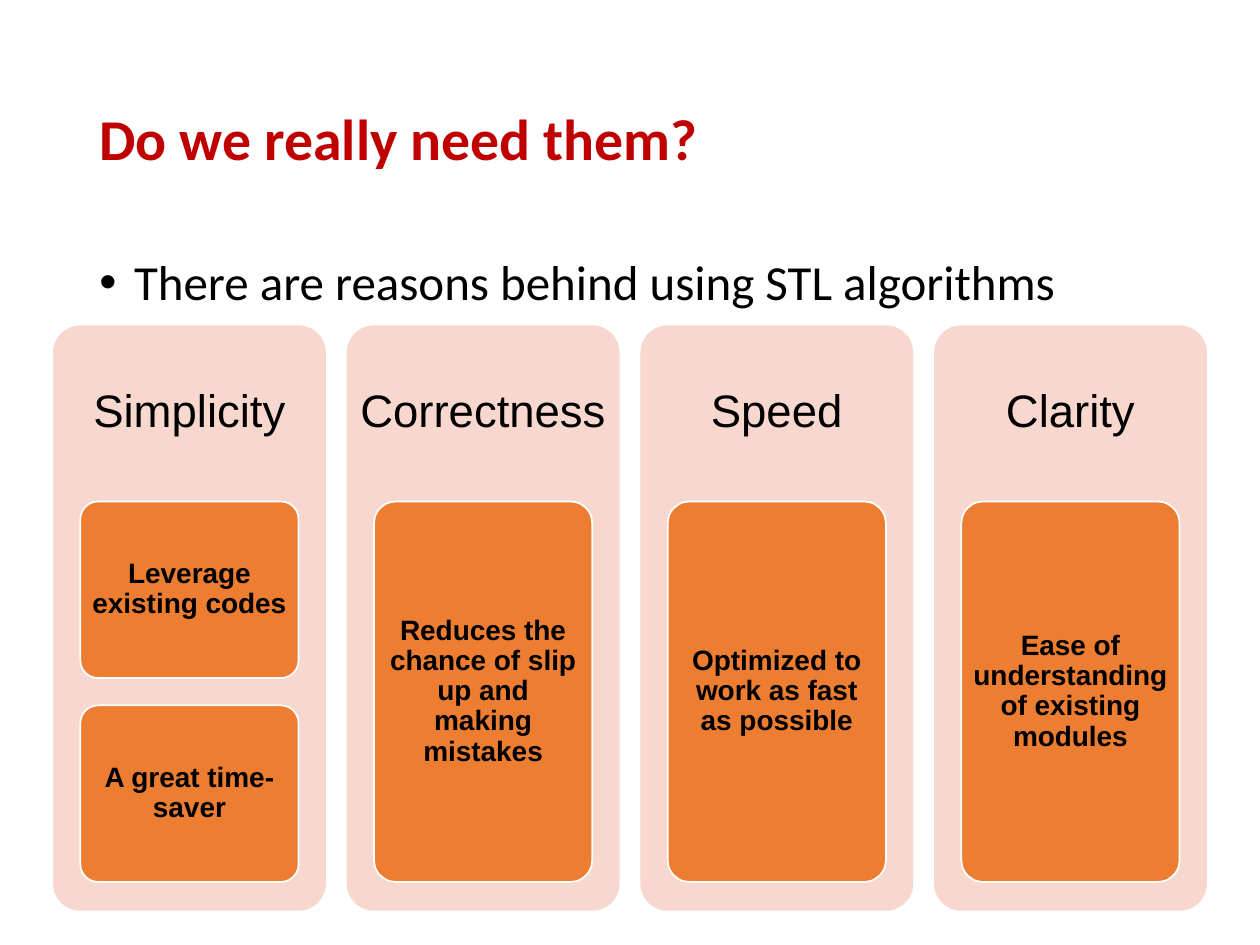
from pptx import Presentation
from pptx.dml.color import RGBColor
from pptx.enum.shapes import MSO_SHAPE
from pptx.enum.text import MSO_ANCHOR, MSO_AUTO_SIZE, PP_ALIGN
from pptx.util import Cm, Pt

ROUNDED = MSO_SHAPE.ROUNDED_RECTANGLE
TOP, MIDDLE = MSO_ANCHOR.TOP, MSO_ANCHOR.MIDDLE
LEFT, CENTER = PP_ALIGN.LEFT, PP_ALIGN.CENTER
NO_AUTOFIT = MSO_AUTO_SIZE.NONE

COLORS = {"title": "C00000", "text": "000000", "panel": "F8D7CE",
          "card": "ED7D31", "outline": "FFFFFF"}
FORMATS = {
    "title": {"name": "Calibri", "size": Pt(33), "bold": True},
    "body": {"name": "Calibri", "size": Pt(28), "bold": False},
    "heading": {"name": "Arial", "size": Pt(26), "bold": False},
    "card": {"name": "Arial", "size": Pt(16), "bold": True},
}

REASONS = [
    ("Simplicity", ["Leverage existing codes", "A great time-saver"]),
    ("Correctness", ["Reduces the chance of slip up and making mistakes"]),
    ("Speed", ["Optimized to work as fast as possible"]),
    ("Clarity", ["Ease of understanding of existing modules"]),
]

# Column grid, in centimetres
PANEL_LEFT, PANEL_TOP, PANEL_W, PANEL_H = 1.07, 6.56, 5.5, 11.8
PITCH = 5.92
HEADING_H = 3.54
CARD_TOP, CARDS_H, CARD_W, CARD_GAP = 10.11, 7.67, 4.4, 0.55


class Deck:
    def __init__(self):
        self.prs = Presentation()
        self.prs.slide_width, self.prs.slide_height = Cm(25.4), Cm(19.05)
        self.s = self.prs.slides.add_slide(self.prs.slide_layouts[1])

    def set_text(self, sp, text, style, color="text", align=CENTER, anchor=MIDDLE, inset=None):
        tf = sp.text_frame
        tf.word_wrap, tf.auto_size, tf.vertical_anchor = True, NO_AUTOFIT, anchor
        if inset is not None:
            for side in ("left", "top", "right", "bottom"):
                setattr(tf, f"margin_{side}", Cm(inset))
        p = tf.paragraphs[0]
        p.alignment, p.line_spacing, p.space_before = align, 0.9, Pt(0)
        r = p.add_run()
        r.text = text
        for name, value in FORMATS[style].items():
            setattr(r.font, name, value)
        r.font.color.rgb = RGBColor.from_string(COLORS[color])
        return p

    def place(self, sp, x, y, w, h):
        sp.left, sp.top, sp.width, sp.height = Cm(x), Cm(y), Cm(w), Cm(h)

    def title(self, text, *box):
        sp = self.s.shapes.title
        self.place(sp, *box)
        self.set_text(sp, text, "title", "title", LEFT)

    def bullet(self, text, *box):
        sp = self.s.placeholders[1]
        self.place(sp, *box)
        p = self.set_text(sp, text, "body", align=LEFT, anchor=TOP)
        pPr = p._p.get_or_add_pPr()
        pPr.set("marL", str(Cm(0.7)))
        pPr.set("indent", str(-Cm(0.7)))

    def rounded(self, fill, x, y, w, h):
        sp = self.s.shapes.add_shape(ROUNDED, Cm(x), Cm(y), Cm(w), Cm(h))
        sp.adjustments[0] = 0.1
        sp.shadow.inherit = False
        sp.fill.solid()
        sp.fill.fore_color.rgb = RGBColor.from_string(COLORS[fill])
        return sp

    def panel(self, *box):
        self.rounded("panel", *box).line.fill.background()

    def heading(self, text, x, y, w, h):
        sp = self.s.shapes.add_textbox(Cm(x), Cm(y), Cm(w), Cm(h))
        self.set_text(sp, text, "heading", inset=0.25)

    def card(self, text, *box):
        sp = self.rounded("card", *box)
        sp.line.color.rgb = RGBColor.from_string(COLORS["outline"])
        sp.line.width = Pt(1)
        self.set_text(sp, text, "card", inset=0.1)

    def column(self, x, heading, cards):
        self.panel(x, PANEL_TOP, PANEL_W, PANEL_H)
        self.heading(heading, x, PANEL_TOP, PANEL_W, HEADING_H)
        h = (CARDS_H - CARD_GAP * (len(cards) - 1)) / len(cards)
        for i, text in enumerate(cards):
            self.card(text, x + (PANEL_W - CARD_W) / 2, CARD_TOP + i * (h + CARD_GAP), CARD_W, h)


def main():
    deck = Deck()
    deck.title("Do we really need them?", 1.75, 1.02, 21.9, 3.68)
    deck.bullet("There are reasons behind using STL algorithms", 1.75, 5.08, 21.9, 12.09)
    for i, (heading, cards) in enumerate(REASONS):
        deck.column(PANEL_LEFT + i * PITCH, heading, cards)
    deck.prs.save("out.pptx")


if __name__ == "__main__":
    main()
